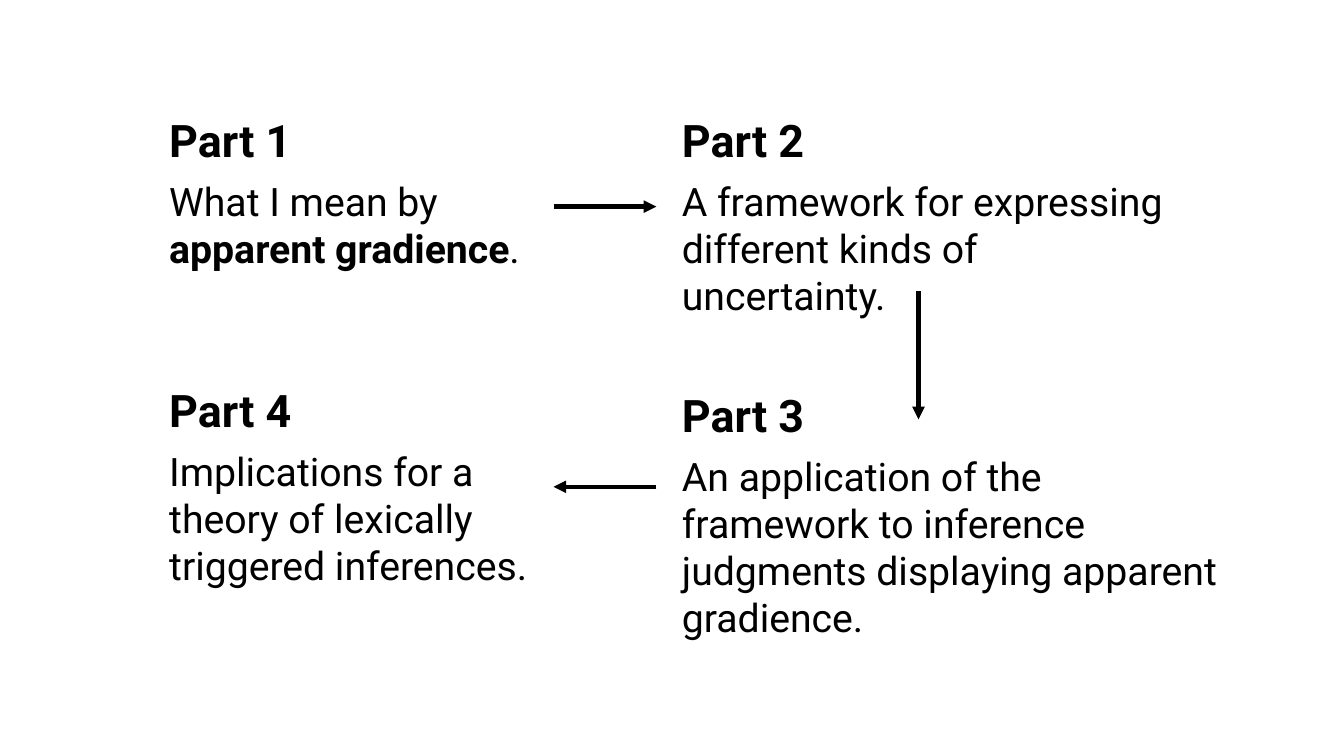
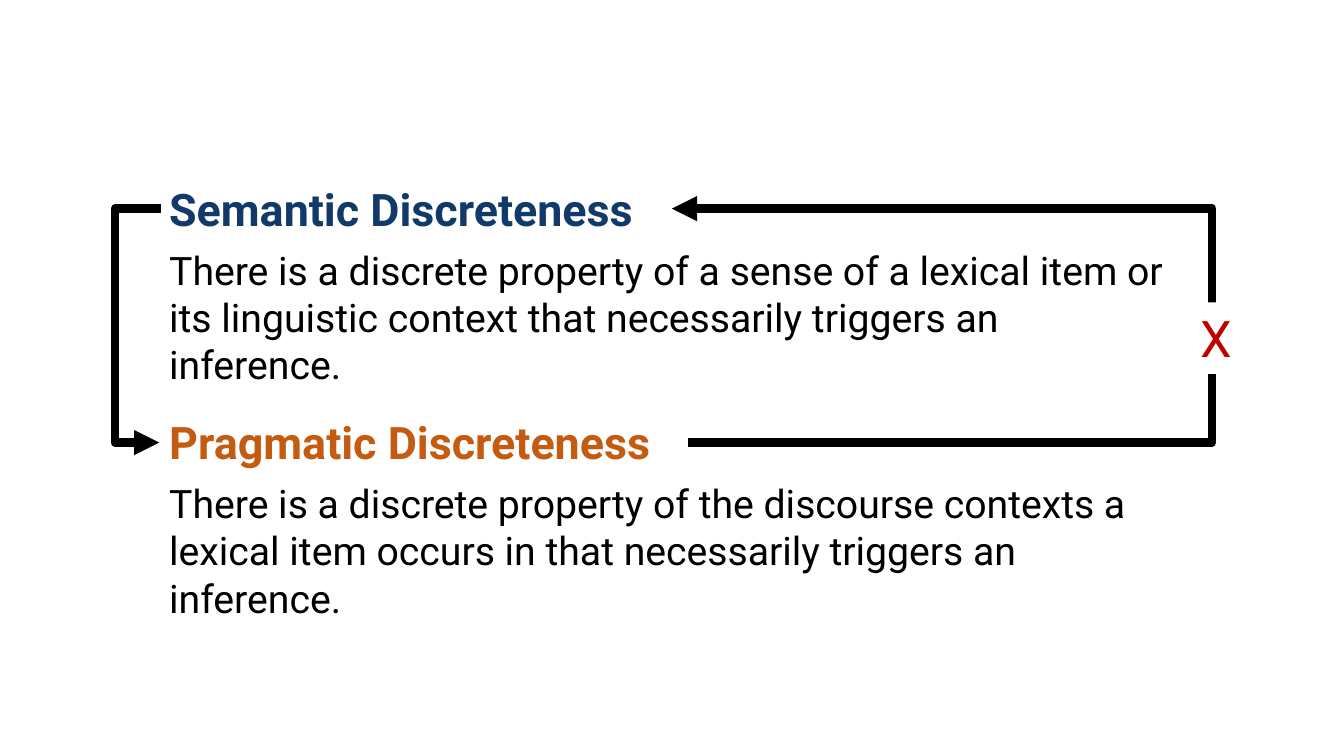
from pptx import Presentation
from pptx.dml.color import RGBColor
from pptx.enum.shapes import MSO_CONNECTOR as Conn, MSO_SHAPE as Shape
from pptx.enum.text import MSO_AUTO_SIZE as Fit, MSO_ANCHOR as Anchor, PP_ALIGN as Align
from pptx.oxml.ns import qn
from pptx.util import Inches, Pt
from lxml.etree import SubElement as sub

BLACK = RGBColor(0x00, 0x00, 0x00)
WHITE = RGBColor(0xFF, 0xFF, 0xFF)
NAVY = RGBColor(0x11, 0x3A, 0x6A)
RUST = RGBColor(0xC5, 0x5A, 0x11)
RED = RGBColor(0xC0, 0x00, 0x00)
FONT = "Roboto"
WIDE, HIGH = 13.33, 7.5
LEFT, RIGHT = 1.58, WIDE / 2
HEAD, LINE, PAD = 0.64, 0.47, 0.1


def style(run, size, color, bold=False):
    """Set the font of one run."""
    font = run.font
    font.name, font.size, font.bold = FONT, Pt(size), bold
    font.color.rgb = color


def label(slide, x, y, wide, high, spans, size, color=BLACK):
    """Add a wrapped text box of (text, bold) spans."""
    box = slide.shapes.add_textbox(*map(Inches, (x, y, wide, high)))
    frame = box.text_frame
    frame.word_wrap = True
    frame.auto_size = Fit.SHAPE_TO_FIT_TEXT
    for text, bold in spans:
        run = frame.paragraphs[0].add_run()
        run.text = text
        style(run, size, color, bold)


def part(slide, x, y, head, body, wides, lines=2, color=BLACK):
    """Add a bold heading with its body text right below."""
    label(slide, x, y, wides[0], HEAD, [(head, True)], 32, color)
    label(slide, x, y + HEAD, wides[1], lines * LINE + PAD, body, 28)


def arrow(slide, start, end, width=3, bend=None):
    """Add an arrow, straight or bent by way of the column at bend."""
    kind = Conn.STRAIGHT if bend is None else Conn.ELBOW
    link = slide.shapes.add_connector(kind, *map(Inches, start + end))
    link.line.color.rgb = BLACK
    link.line.width = Pt(width)
    sub(link.line._get_or_add_ln(), qn("a:tailEnd"), type="triangle")
    props = link._element.spPr
    sub(props, qn("a:effectLst"))
    if bend is not None:
        share = (bend - start[0]) / (end[0] - start[0])
        guides = props.find(qn("a:prstGeom")).get_or_add_avLst()
        sub(guides, qn("a:gd"), name="adj1", fmla=f"val {round(share * 100000)}")


def cross(slide, x, y, wide, high):
    """Add the red X on a white patch that breaks an arrow."""
    patch = slide.shapes.add_shape(Shape.RECTANGLE, *map(Inches, (x, y, wide, high)))
    patch.shadow.inherit = False
    patch.fill.solid()
    patch.fill.fore_color.rgb = WHITE
    patch.line.fill.background()
    frame = patch.text_frame
    frame.word_wrap = False
    frame.auto_size = Fit.SHAPE_TO_FIT_TEXT
    frame.vertical_anchor = Anchor.TOP
    frame.text = "X"
    frame.paragraphs[0].alignment = Align.CENTER
    style(frame.paragraphs[0].runs[0], 36, RED)


def outline(slide):
    """Build the four parts of the talk and the arrows between them."""
    top, low = 1.07, 3.75
    part(slide, LEFT, top, "Part 1",
         [("What I mean by ", False), ("apparent gradience", True), (".", False)],
         (3.9, 3.9))
    part(slide, RIGHT, top, "Part 2",
         [("A framework for expressing different kinds of uncertainty.", False)],
         (5.08, 5.2))
    part(slide, RIGHT, low + 0.05, "Part 3",
         [("An application of the framework to inference judgments "
           "displaying apparent gradience.", False)], (5.08, 5.68), 3)
    part(slide, LEFT, low, "Part 4",
         [("Implications for a theory of lexically triggered inferences.", False)],
         (5.52, 4.22), 3)
    near, far, drop = 5.49, 6.51, 9.11
    arrow(slide, (near, 2.05), (far, 2.05))
    arrow(slide, (drop, 2.89), (drop, 4.16))
    arrow(slide, (far, 4.83), (near, 4.83))


def claims(slide):
    """Build the two kinds of discreteness and what follows from which."""
    top, low = 1.75, 4.07
    part(slide, LEFT, top, "Semantic Discreteness",
         [("There is a discrete property of a sense of a lexical item or its "
           "linguistic context that necessarily triggers an inference.", False)],
         (5.08, 10.17), color=NAVY)
    part(slide, LEFT, low, "Pragmatic Discreteness",
         [("There is a discrete property of the discourse contexts a lexical item "
           "occurs in that necessarily triggers an inference.", False)],
         (5.24, 10.38), color=RUST)
    first, second = top + HEAD / 2, low + HEAD / 2
    arrow(slide, (LEFT + 0.02, first), (LEFT, second), 6, 1.14)
    arrow(slide, (LEFT + 5.24, second), (RIGHT, first), 6, 12.02)
    cross(slide, 11.81, 3, 0.41, 0.71)


def main():
    """Build and save the deck."""
    deck = Presentation()
    deck.slide_width, deck.slide_height = Inches(WIDE), Inches(HIGH)
    for build in (outline, claims):
        build(deck.slides.add_slide(deck.slide_layouts[6]))
    deck.save("out.pptx")


if __name__ == "__main__":
    main()
